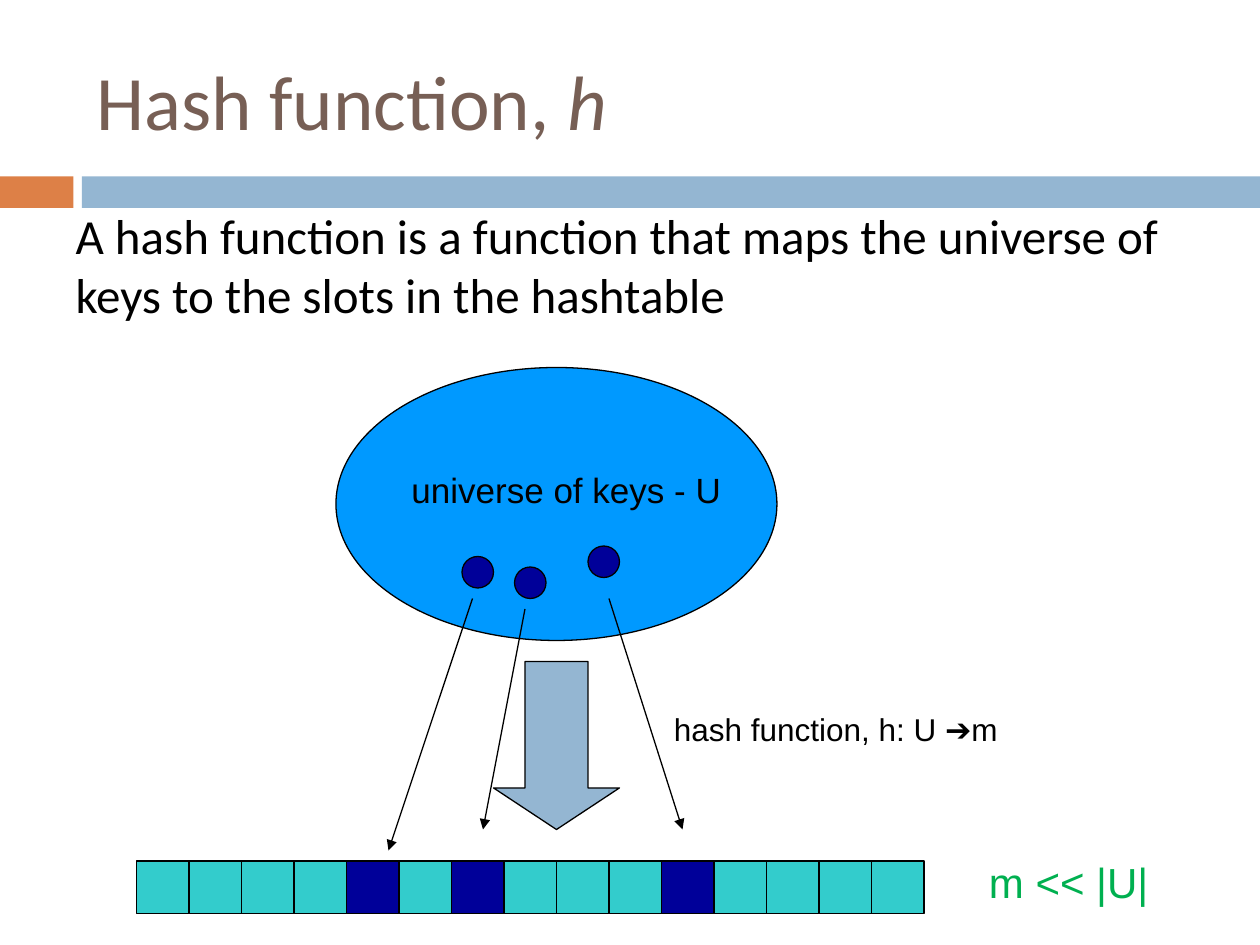
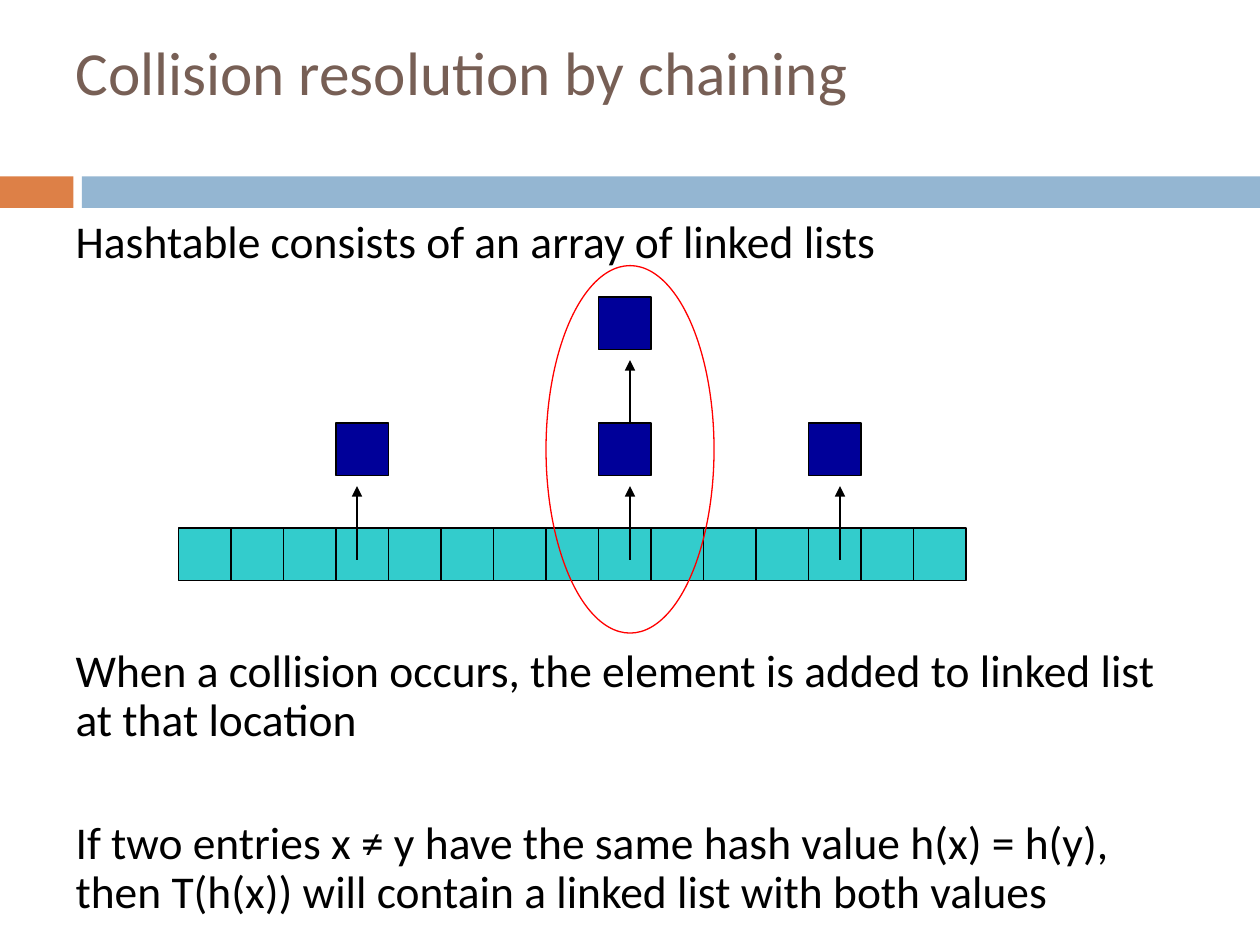
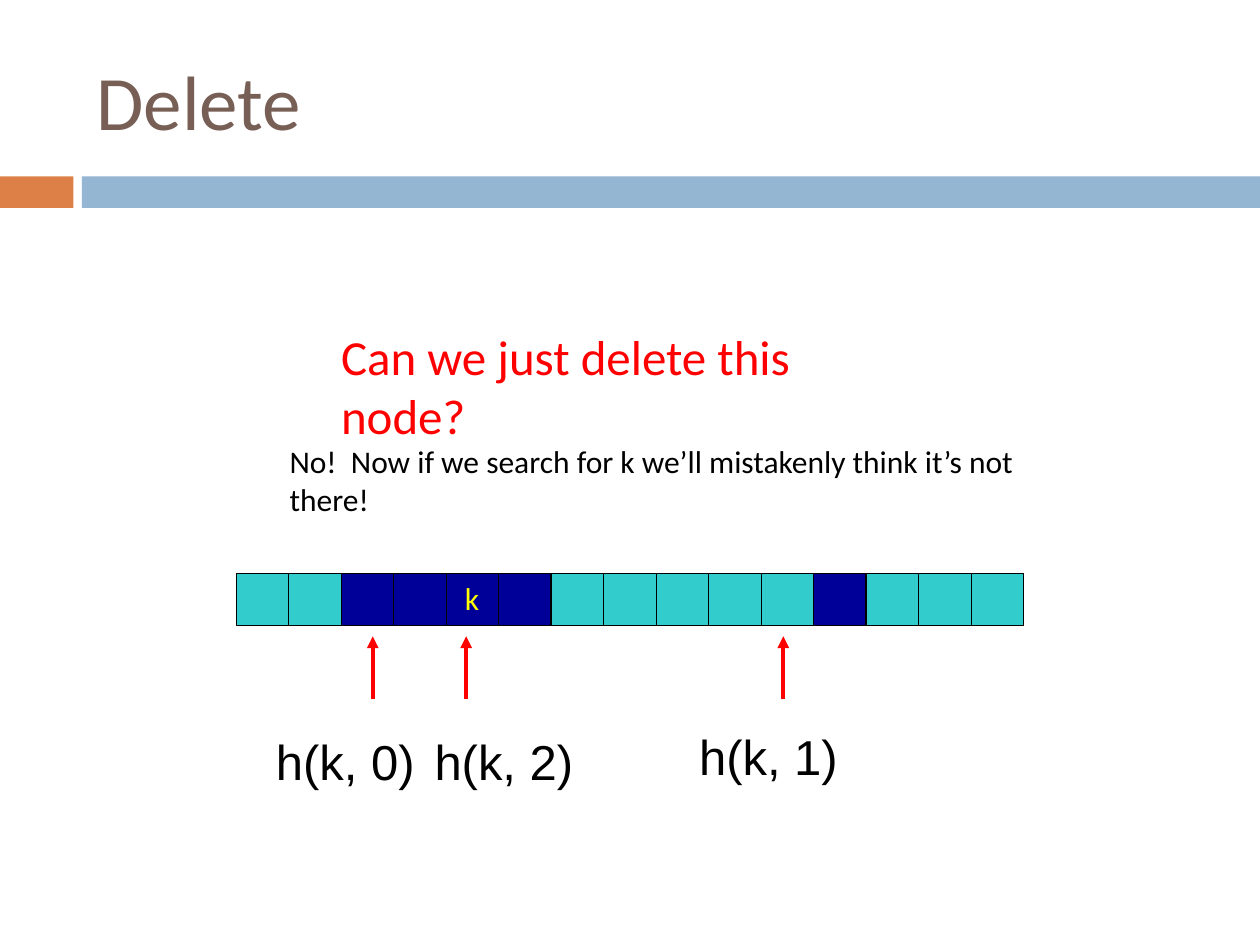
from dataclasses import dataclass
from typing import Optional

from lxml import etree
from pptx import Presentation
from pptx.dml.color import RGBColor
from pptx.enum.shapes import MSO_CONNECTOR, MSO_SHAPE
from pptx.enum.text import MSO_ANCHOR, MSO_AUTO_SIZE, PP_ALIGN
from pptx.oxml.ns import qn
from pptx.util import Emu, Pt

RECTANGLE = MSO_SHAPE.RECTANGLE
OVAL = MSO_SHAPE.OVAL
RIGHT_ARROW = MSO_SHAPE.RIGHT_ARROW
STRAIGHT = MSO_CONNECTOR.STRAIGHT
LEFT = PP_ALIGN.LEFT
MIDDLE = MSO_ANCHOR.MIDDLE
TOP = MSO_ANCHOR.TOP
NO_AUTOFIT = MSO_AUTO_SIZE.NONE

BLACK = RGBColor(0x00, 0x00, 0x00)
BROWN = RGBColor(0x77, 0x5F, 0x55)
ORANGE = RGBColor(0xDD, 0x80, 0x47)
STEEL = RGBColor(0x94, 0xB6, 0xD2)
SKY = RGBColor(0x00, 0x99, 0xFF)
TEAL = RGBColor(0x33, 0xCC, 0xCC)
NAVY = RGBColor(0x00, 0x00, 0x99)
GREEN = RGBColor(0x00, 0xB0, 0x50)
RED = RGBColor(0xFF, 0x00, 0x00)
YELLOW = RGBColor(0xFF, 0xFF, 0x00)

HEADING_FONT = "Calibri"
LABEL_FONT = "Arial"
EMU_PER_PX = 7620
SLIDE_WIDTH, SLIDE_HEIGHT = 1200, 900
SLOT = 50
SLOT_COUNT = 15
KEY_SIZE = 30
THIN, THICK = 0.75, 2.25
TITLE_AND_CONTENT, TITLE_ONLY = 1, 5
FIRST_BAND_ID = 20


@dataclass(frozen=True)
class Box:
    left: int
    top: int
    width: int
    height: int

    def emu(self) -> tuple:
        return tuple(px(n) for n in (self.left, self.top, self.width, self.height))


@dataclass(frozen=True)
class Label:
    text: str
    box: Box
    size: int
    color: RGBColor = BLACK
    font: str = LABEL_FONT


@dataclass(frozen=True)
class Arrow:
    x1: int
    y1: int
    x2: int
    y2: int
    color: RGBColor = BLACK
    width: float = THIN
    head: bool = True


@dataclass(frozen=True)
class BodyLine:
    text: str
    space_before: int = 7


BANDS = ((Box(0, 168, 70, 30), ORANGE), (Box(78, 168, 1122, 30), STEEL))
TITLE_BOX = Box(80, 30, 1070, 130)


def px(length: int) -> Emu:
    return Emu(length * EMU_PER_PX)


def style_font(paragraph, name: str, size: int, color: RGBColor) -> None:
    paragraph.font.name = name
    paragraph.font.size = Pt(size)
    paragraph.font.color.rgb = color


def place(placeholder, box: Box, anchor) -> None:
    placeholder.left, placeholder.top, placeholder.width, placeholder.height = box.emu()
    placeholder.text_frame.auto_size = NO_AUTOFIT
    placeholder.text_frame.vertical_anchor = anchor


def set_title(slide, text: str, italic_tail: str = "",
              box: Box = TITLE_BOX, size: int = 44) -> None:
    title = slide.shapes.title
    place(title, box, MIDDLE)
    paragraph = title.text_frame.paragraphs[0]
    paragraph.alignment = LEFT
    style_font(paragraph, HEADING_FONT, size, BROWN)
    paragraph.add_run().text = text
    if italic_tail:
        tail = paragraph.add_run()
        tail.text = italic_tail
        tail.font.italic = True


def set_body(slide, lines: list[BodyLine], box: Box, size: int,
             line_spacing: Optional[float] = None) -> None:
    body = slide.placeholders[1]
    place(body, box, TOP)
    frame = body.text_frame
    for index, line in enumerate(lines):
        paragraph = frame.add_paragraph() if index else frame.paragraphs[0]
        paragraph.text = line.text
        properties = paragraph._p.get_or_add_pPr()
        properties.set("marL", "0")
        properties.set("indent", "0")
        etree.SubElement(properties, qn("a:buNone"))
        paragraph.space_before = Pt(line.space_before)
        paragraph.line_spacing = line_spacing
        style_font(paragraph, HEADING_FONT, size, BLACK)


def draw_shape(shapes, kind, box: Box, fill: Optional[RGBColor],
               outline: Optional[RGBColor] = BLACK):
    shape = shapes.add_shape(kind, *box.emu())
    shape.shadow.inherit = False
    if fill is None:
        shape.fill.background()
    else:
        shape.fill.solid()
        shape.fill.fore_color.rgb = fill
    if outline is None:
        shape.line.fill.background()
    else:
        shape.line.color.rgb = outline
        shape.line.width = Pt(THIN)
    return shape


def draw_arrow(shapes, arrow: Arrow) -> None:
    ends = (arrow.x1, arrow.y1, arrow.x2, arrow.y2)
    connector = shapes.add_connector(STRAIGHT, *(px(n) for n in ends))
    connector.line.color.rgb = arrow.color
    connector.line.width = Pt(arrow.width)
    properties = connector.element.spPr
    if arrow.head:
        etree.SubElement(properties.find(qn("a:ln")), qn("a:tailEnd"), type="triangle")
    etree.SubElement(properties, qn("a:effectLst"))


def draw_label(slide, label: Label) -> None:
    frame = slide.shapes.add_textbox(*label.box.emu()).text_frame
    frame.word_wrap = True
    paragraph = frame.paragraphs[0]
    paragraph.text = label.text
    style_font(paragraph, label.font, label.size, label.color)


def draw_node(slide, left: int, top: int) -> None:
    draw_shape(slide.shapes, RECTANGLE, Box(left, top, SLOT, SLOT), NAVY)


def draw_hashtable(slide, left: int, top: int, used: tuple = ()) -> None:
    table = slide.shapes.add_group_shape().shapes
    draw_shape(table, RECTANGLE, Box(left, top, SLOT * SLOT_COUNT, SLOT), TEAL)
    for index in range(1, SLOT_COUNT):
        x = left + index * SLOT
        draw_arrow(table, Arrow(x, top, x, top + SLOT, head=False))
    for index in used:
        draw_node(slide, left + index * SLOT, top)


def add_bands_to_master(presentation, slide) -> None:
    master_tree = presentation.slide_master.shapes.element
    for band_id, (box, color) in enumerate(BANDS, FIRST_BAND_ID):
        band = draw_shape(slide.shapes, RECTANGLE, box, color, None).element
        band.nvSpPr.cNvPr.set("id", str(band_id))
        master_tree.append(band)


def build_hash_function(slide) -> None:
    set_title(slide, "Hash function, ", "h")
    set_body(slide, [BodyLine("A hash function is a function that maps the universe "
                              "of keys to the slots in the hashtable")],
             Box(60, 190, 1080, 150), 28)
    draw_shape(slide.shapes, OVAL, Box(320, 350, 420, 260), SKY)
    mapping = draw_shape(slide.shapes, RIGHT_ARROW, Box(450, 650, 160, 120), STEEL)
    mapping.rotation = 90
    mapping.adjustments[0] = 0.5
    mapping.adjustments[1] = 0.33
    draw_hashtable(slide, 130, 820, used=(4, 6, 10))
    for left, top in ((440, 530), (490, 540), (560, 520)):
        draw_shape(slide.shapes, OVAL, Box(left, top, KEY_SIZE, KEY_SIZE), NAVY)
    for arrow in (Arrow(450, 570, 370, 810), Arrow(500, 580, 460, 790),
                  Arrow(580, 570, 650, 790)):
        draw_arrow(slide.shapes, arrow)
    for label in (
        Label("universe of keys - U", Box(380, 440, 330, 52), 20),
        Label("m << |U|", Box(930, 810, 270, 60), 24, GREEN),
        Label("hash function, h: U ➔m", Box(630, 670, 430, 48), 18),
    ):
        draw_label(slide, label)


def build_chaining(slide) -> None:
    set_title(slide, "Collision resolution by chaining",
              box=Box(60, 16, 990, 104), size=35)
    set_body(slide, [
        BodyLine("Hashtable consists of an array of linked lists"),
        BodyLine("When a collision occurs, the element is added to linked list "
                 "at that location", 217),
        BodyLine("If two entries x ≠ y have the same hash value h(x) = h(y), "
                 "then T(h(x)) will contain a linked list with both values", 42),
    ], Box(60, 203, 1080, 700), 26, 0.9)
    draw_hashtable(slide, 170, 503)
    for node_left, link_x in ((320, 340), (570, 600), (770, 800)):
        draw_arrow(slide.shapes, Arrow(link_x, 533, link_x, 463))
        draw_node(slide, node_left, 403)
    draw_arrow(slide.shapes, Arrow(600, 403, 600, 343))
    draw_node(slide, 570, 283)
    draw_shape(slide.shapes, OVAL, Box(520, 253, 160, 350), None, RED)


def build_delete(slide) -> None:
    set_title(slide, "Delete")
    draw_hashtable(slide, 225, 546, used=(2, 3, 4, 5, 11))
    for probe_x in (355, 444, 746):
        draw_arrow(slide.shapes, Arrow(probe_x, 666, probe_x, 606, RED, THICK))
    for label in (
        Label("h(k, 0)", Box(251, 691, 200, 68), 28),
        Label("h(k, 2)", Box(402, 691, 200, 68), 28),
        Label("h(k, 1)", Box(654, 686, 200, 68), 28),
        Label("Can we just delete this node?", Box(313, 305, 570, 68), 28,
              RED, HEADING_FONT),
        Label("No!  Now if we search for k we’ll mistakenly think it’s not there!",
              Box(264, 415, 781, 48), 18, BLACK, HEADING_FONT),
        Label("k", Box(431, 546, 37, 48), 18, YELLOW, HEADING_FONT),
    ):
        draw_label(slide, label)


def main() -> None:
    presentation = Presentation()
    presentation.slide_width = px(SLIDE_WIDTH)
    presentation.slide_height = px(SLIDE_HEIGHT)
    pages = ((TITLE_AND_CONTENT, build_hash_function),
             (TITLE_AND_CONTENT, build_chaining),
             (TITLE_ONLY, build_delete))
    for layout, build in pages:
        build(presentation.slides.add_slide(presentation.slide_layouts[layout]))
    add_bands_to_master(presentation, presentation.slides[0])
    presentation.save("out.pptx")


if __name__ == "__main__":
    main()
